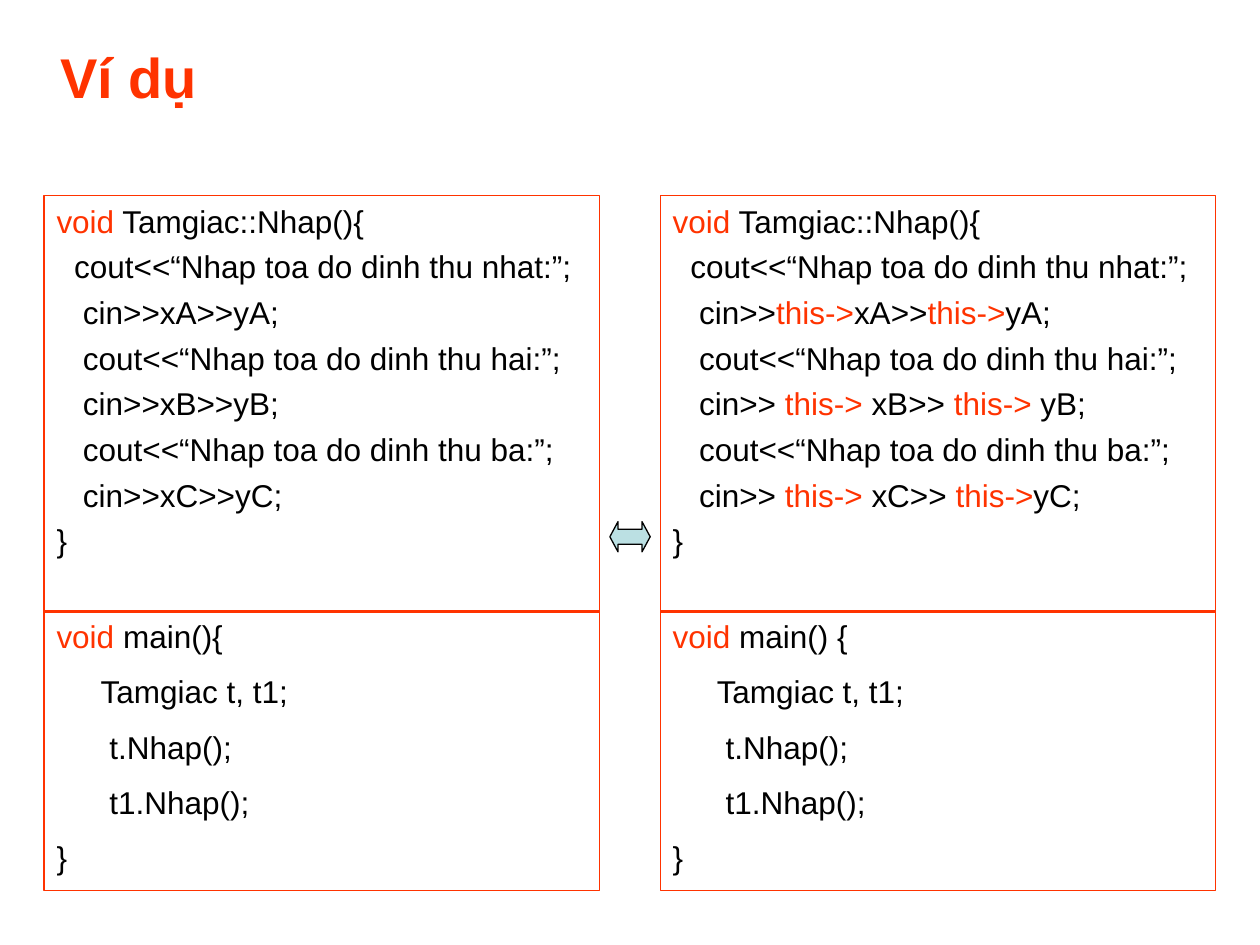
from pptx import Presentation
from pptx.dml.color import RGBColor
from pptx.enum.shapes import MSO_SHAPE
from pptx.enum.text import MSO_ANCHOR, PP_ALIGN
from pptx.util import Inches, Pt

WIDE, HIGH = 10, 7.5
RED, BLACK, AQUA = "FF3300", "000000", "BBE0E3"
SPACE = 0.07  # width of one blank at 18 pt

# Two columns, two rows
COLS = (0.35, 5.24)
COL_W = 4.41
ROWS = ((1.55, 3.31, 4.5), (4.85, 2.22, 9.9))  # top, height, paragraph gap

# Code lines: depth in blanks, text
LEFT = ["cin>>xA>>yA;", "cin>>xB>>yB;", "cin>>xC>>yC;"]
RIGHT = ["cin>>this->xA>>this->yA;", "cin>> this-> xB>> this-> yB;",
         "cin>> this-> xC>> this->yC;"]


def color(code):
    return RGBColor.from_string(code)


def style(run, size, code, bold=False):
    font = run.font
    font.name, font.size, font.bold = "Arial", Pt(size), bold
    font.color.rgb = color(code)


def add_shape(slide, kind, box, line, fill=None):
    shape = slide.shapes.add_shape(kind, *map(Inches, box))
    shape.shadow.inherit = False
    shape.line.color.rgb = color(line)
    shape.line.width = Pt(0.75)
    if fill:
        shape.fill.solid()
        shape.fill.fore_color.rgb = color(fill)
    else:
        shape.fill.background()
    return shape


def add_title(slide, text):
    box = slide.shapes.add_textbox(*map(Inches, (0.38, -0.02, 9, 1.25)))
    frame = box.text_frame
    frame.word_wrap = True
    frame.vertical_anchor = MSO_ANCHOR.MIDDLE
    frame.text = text
    frame.paragraphs[0].alignment = PP_ALIGN.JUSTIFY
    style(frame.paragraphs[0].runs[0], 32, RED, True)


def add_line(para, depth, text):
    para.alignment = PP_ALIGN.LEFT
    para._p.get_or_add_pPr().set("marL", str(Inches(depth * SPACE)))
    # Keywords become the odd parts
    for word in ("void", "this->"):
        text = text.replace(word, f"|{word}|")
    for i, part in enumerate(text.split("|")):
        if part:
            run = para.add_run()
            run.text = part
            style(run, 18, RED if i % 2 else BLACK)


def add_code(slide, col, row, lines):
    top, high, gap = ROWS[row]
    box = (COLS[col], top, COL_W, high)
    frame = add_shape(slide, MSO_SHAPE.RECTANGLE, box, RED).text_frame
    frame.word_wrap = True
    frame.vertical_anchor = MSO_ANCHOR.TOP
    for i, (depth, text) in enumerate(lines):
        para = frame.add_paragraph() if i else frame.paragraphs[0]
        para.space_before = Pt(gap if i else 0)
        add_line(para, depth, text)


def input_code(reads):
    lines = [(0, "void Tamgiac::Nhap(){")]
    for i, (name, read) in enumerate(zip(("nhat", "hai", "ba"), reads)):
        lines.append((3 if i else 2, f"cout<<“Nhap toa do dinh thu {name}:”;"))
        lines.append((3, read))
    return lines + [(0, "}")]


def main_code(head):
    return [(0, head), (5, "Tamgiac t, t1;"), (6, "t.Nhap();"),
            (6, "t1.Nhap();"), (0, "}")]


def main():
    deck = Presentation()
    deck.slide_width, deck.slide_height = Inches(WIDE), Inches(HIGH)
    slide = deck.slides.add_slide(deck.slide_layouts[6])
    add_title(slide, "Ví dụ")

    # Code panels
    heads = ("void main(){", "void main() {")
    for col, (reads, head) in enumerate(zip((LEFT, RIGHT), heads)):
        add_code(slide, col, 0, input_code(reads))
        add_code(slide, col, 1, main_code(head))

    # Arrow between the columns
    arrow = add_shape(slide, MSO_SHAPE.LEFT_RIGHT_ARROW,
                      (4.84, 4.14, 0.32, 0.24), BLACK, AQUA)
    arrow.adjustments[0] = 0.5
    arrow.adjustments[1] = 0.27
    deck.save("out.pptx")


main()
